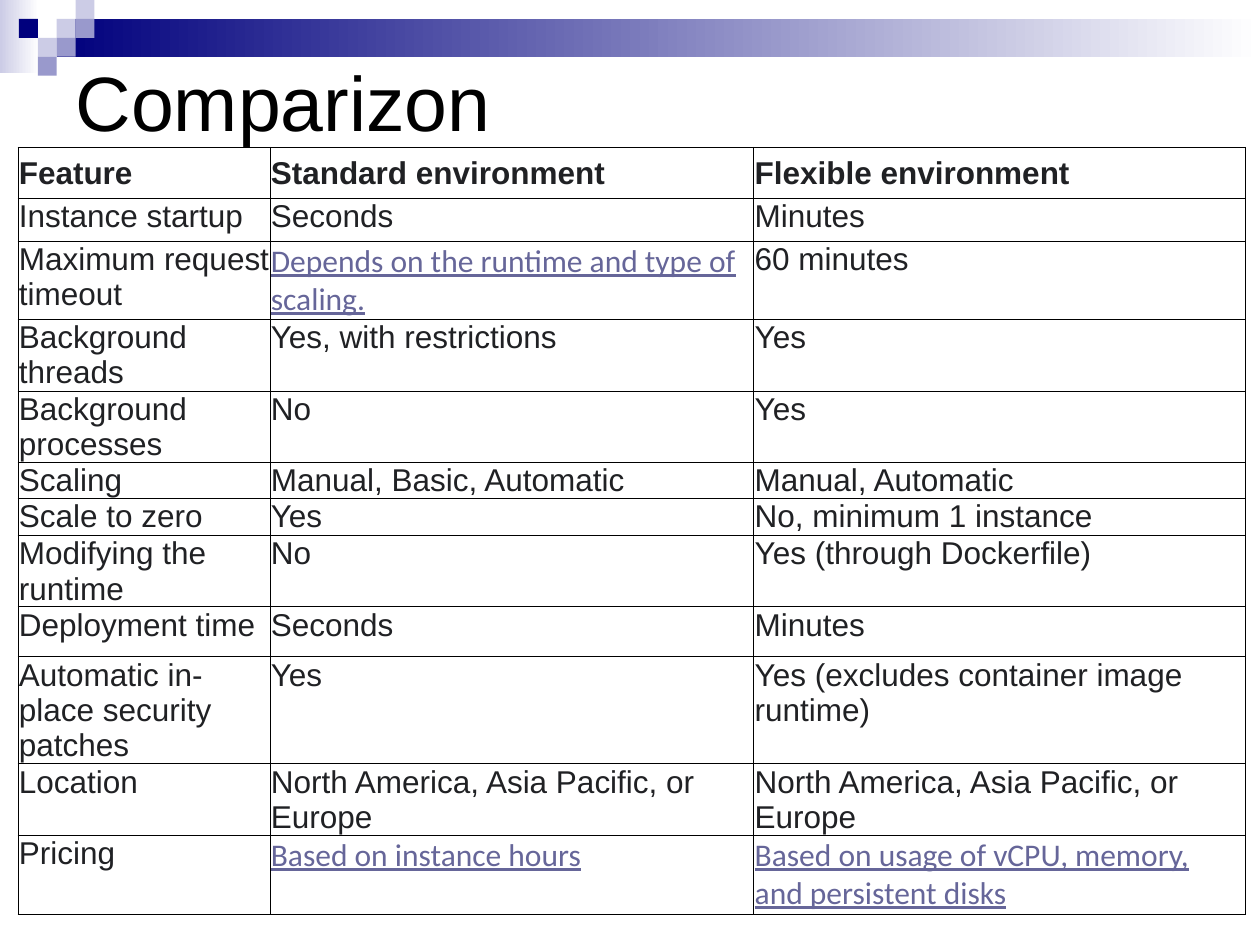
from lxml import etree
from pptx import Presentation
from pptx import util as u
from pptx.dml.color import RGBColor
from pptx.enum import shapes, text
from pptx.oxml.ns import qn

TITLE = "Comparizon"
ROWS = [
    ("Feature", "Standard environment", "Flexible environment"),
    ("Instance startup", "Seconds", "Minutes"),
    ("Maximum request timeout", "Depends on the runtime and type of scaling.", "60 minutes"),
    ("Background threads", "Yes, with restrictions", "Yes"),
    ("Background processes", "No", "Yes"),
    ("Scaling", "Manual, Basic, Automatic", "Manual, Automatic"),
    ("Scale to zero", "Yes", "No, minimum 1 instance"),
    ("Modifying the runtime", "No", "Yes (through Dockerfile)"),
    ("Deployment time", "Seconds", "Minutes"),
    ("Automatic in-place security patches", "Yes", "Yes (excludes container image runtime)"),
    ("Location", "North America, Asia Pacific, or Europe", "North America, Asia Pacific, or Europe"),
    ("Pricing", "Based on instance hours", "Based on usage of vCPU, memory, and persistent disks"),
]
LINK_CELLS = {(2, 1), (11, 1), (11, 2)}
COLUMN_WIDTHS = [144, 276.5, 280.8]
ROW_HEIGHTS = [29.1, 24.6, 44, 41.1, 40.6, 20.6, 21.1, 40.6, 28.6, 61.1, 40.6, 45.1]

NAVY, LILAC, PALE, WHITE = "00007D", "9999CC", "CCCCE6", "FFFFFF"
BLACK, INK, LINK = "000000", "202124", "666699"
SQUARE = 10.8
GRADIENTS = [
    (0, 0, 22.3, 41.8, PALE),
    (3 * SQUARE, SQUARE, 720 - 3 * SQUARE, 2 * SQUARE, NAVY),
]
SQUARES = [
    (3, 1, PALE), (4, 0, PALE), (4, 1, LILAC), (2, 2, PALE),
    (1, 1, NAVY), (3, 2, LILAC), (2, 3, LILAC),
]


def color(value):
    return RGBColor.from_string(value)


def add_block(slide, left, top, width, height, fill, fade=False):
    block = slide.shapes.add_shape(
        shapes.MSO_SHAPE.RECTANGLE, u.Pt(left), u.Pt(top), u.Pt(width), u.Pt(height))
    block.shadow.inherit = False
    block.line.fill.background()
    if fade:
        block.fill.gradient()
        block.fill.gradient_angle = 0
        for stop, position, tint in zip(block.fill.gradient_stops, (0, 1), (fill, WHITE)):
            stop.position = position
            stop.color.rgb = color(tint)
    else:
        block.fill.solid()
        block.fill.fore_color.rgb = color(fill)


def add_span(para, words, size, name, ink, bold=False, underline=False):
    span = para.add_run()
    span.text = words
    span.font.size = u.Pt(size)
    span.font.name = name
    span.font.color.rgb = color(ink)
    span.font.bold = bold
    span.font.underline = underline


def add_borders(cell):
    properties = cell._tc.get_or_add_tcPr()
    for side in ("a:lnL", "a:lnR", "a:lnT", "a:lnB"):
        line = etree.SubElement(properties, qn(side), w=str(u.Pt(0.5)))
        fill = etree.SubElement(line, qn("a:solidFill"))
        etree.SubElement(fill, qn("a:srgbClr"), val=BLACK)


def add_title(slide):
    title = slide.shapes.title
    title.left, title.top, title.width, title.height = map(u.Pt, (36, 36, 648, 43.2))
    frame = title.text_frame
    frame.auto_size = text.MSO_AUTO_SIZE.NONE
    frame.vertical_anchor = text.MSO_ANCHOR.MIDDLE
    para = frame.paragraphs[0]
    para.alignment = text.PP_ALIGN.LEFT
    para.line_spacing = 1.0
    add_span(para, TITLE, 44, "Arial", BLACK)


def add_comparison(slide):
    table = slide.shapes.add_table(
        len(ROWS), len(COLUMN_WIDTHS), u.Pt(10.3), u.Pt(84.2),
        u.Pt(sum(COLUMN_WIDTHS)), u.Pt(sum(ROW_HEIGHTS))).table
    table.horz_banding = False
    for column, width in zip(table.columns, COLUMN_WIDTHS):
        column.width = u.Pt(width)
    for r, (row, height, values) in enumerate(zip(table.rows, ROW_HEIGHTS, ROWS)):
        row.height = u.Pt(height)
        for c, (cell, words) in enumerate(zip(row.cells, values)):
            cell.margin_left = cell.margin_right = cell.margin_top = u.Pt(0.5)
            cell.margin_bottom = 0
            cell.vertical_anchor = text.MSO_ANCHOR.TOP if r else text.MSO_ANCHOR.MIDDLE
            add_borders(cell)
            cell.fill.solid()
            cell.fill.fore_color.rgb = color(WHITE)
            linked = (r, c) in LINK_CELLS
            add_span(cell.text_frame.paragraphs[0], words, 18,
                     "Calibri" if linked else "Arial", LINK if linked else INK,
                     bold=r == 0, underline=linked)


def main():
    deck = Presentation()
    deck.slide_width, deck.slide_height = u.Pt(720), u.Pt(540)
    slide = deck.slides.add_slide(deck.slide_layouts[5])
    for block in GRADIENTS:
        add_block(slide, *block, fade=True)
    for column, row, fill in SQUARES:
        add_block(slide, column * SQUARE, row * SQUARE, SQUARE, SQUARE, fill)
    add_title(slide)
    add_comparison(slide)
    deck.save("out.pptx")


if __name__ == "__main__":
    main()
